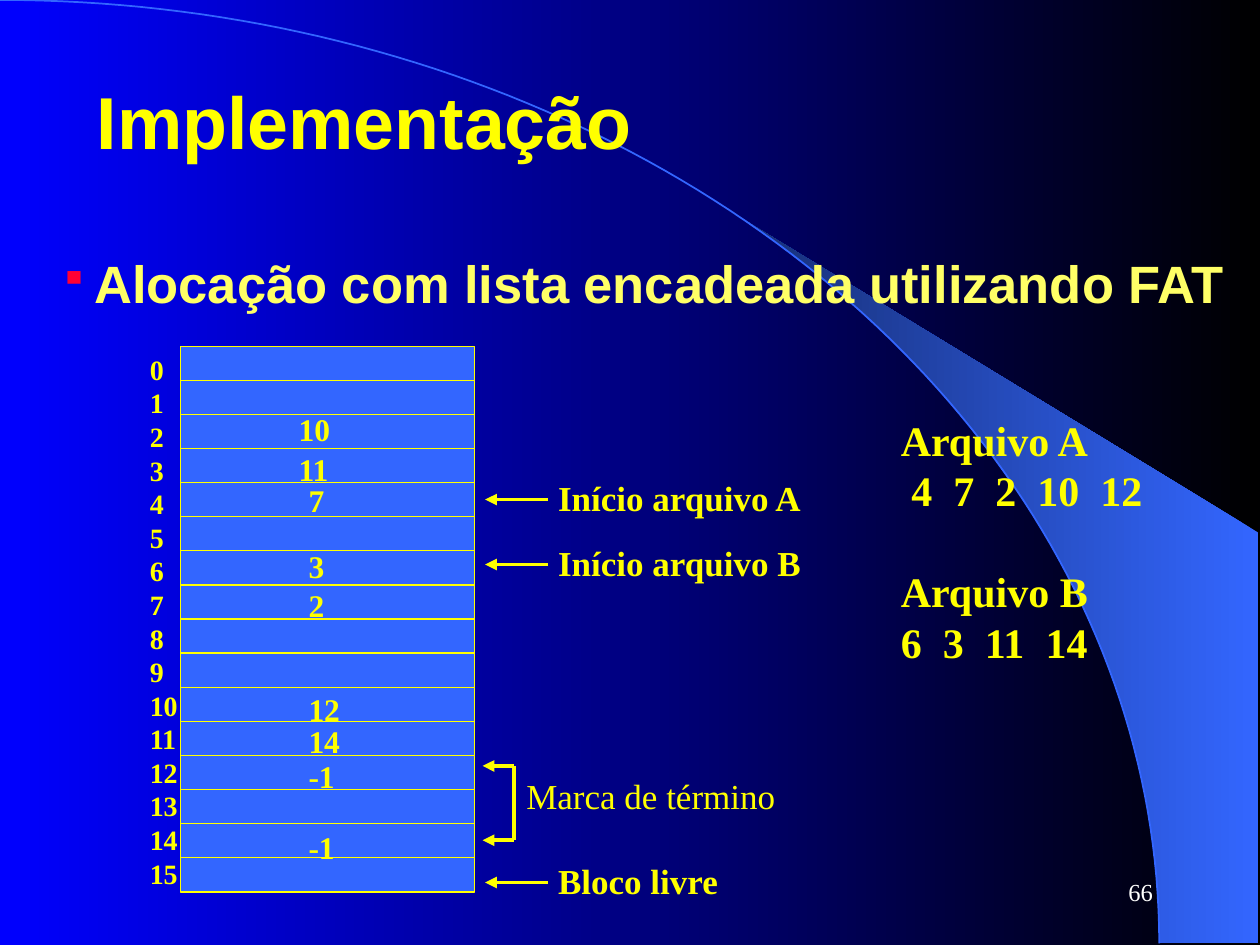
from math import asin, cos, pi, sin

from lxml.etree import SubElement
from pptx import Presentation
from pptx.dml.color import RGBColor
from pptx.enum.shapes import MSO_CONNECTOR, MSO_SHAPE
from pptx.enum.text import MSO_ANCHOR, PP_ALIGN
from pptx.oxml.ns import qn
from pptx.util import Cm, Pt

YELLOW, BLUE = "FFFF00", "3366FF"
SERIF, SANS = "Times New Roman", "Arial"


def color(value):
    return RGBColor.from_string(value)


def set_gradient(fill, start, end):
    """Linear gradient running from the right edge to the left edge."""
    fill.gradient()
    fill.gradient_angle = 180
    for stop, position, value in zip(fill.gradient_stops, (0, 1), (start, end)):
        stop.position = position
        stop.color.rgb = color(value)


def set_font(paragraph, size, name=SERIF, value=YELLOW, bold=True):
    font = paragraph.font
    font.size, font.name, font.bold = Pt(size), name, bold
    font.color.rgb = color(value)


def add_frame(slide, box, wrap=False, anchor=MSO_ANCHOR.TOP):
    frame = slide.shapes.add_textbox(*map(Cm, box)).text_frame
    frame.word_wrap = wrap
    frame.vertical_anchor = anchor
    return frame


def add_text(slide, box, lines, size, wrap=False, anchor=MSO_ANCHOR.TOP, **style):
    frame = add_frame(slide, box, wrap, anchor)
    for index, line in enumerate(lines):
        paragraph = frame.add_paragraph() if index else frame.paragraphs[0]
        paragraph.text = line
        set_font(paragraph, size, **style)
    return frame


def add_line(slide, start, end, arrow=False):
    connector = slide.shapes.add_connector(
        MSO_CONNECTOR.STRAIGHT, *map(Cm, (*start, *end)))
    connector.line.color.rgb = color(YELLOW)
    connector.line.width = Pt(2.25)
    if arrow:
        SubElement(connector.line._get_or_add_ln(), qn("a:tailEnd"), type="triangle")
    SubElement(connector._element.spPr, qn("a:effectLst"))


def add_outline(slide, points, close):
    points = [(Cm(x), Cm(y)) for x, y in points]
    builder = slide.shapes.build_freeform(*points[0])
    builder.add_line_segments(points[1:], close=close)
    shape = builder.convert_to_shape()
    shape.shadow.inherit = False
    return shape


def add_backdrop(slide, width, height):
    """Gradient background, with a quarter ellipse and a wedge against it."""
    set_gradient(slide.background.fill, "000000", "0000FF")
    radius_x, radius_y = 23.37, height

    def arc(start, steps):
        angles = [start + (pi / 2 - start) * step / steps for step in range(steps + 1)]
        return [(radius_x * sin(a), radius_y * (1 - cos(a))) for a in angles]

    wedge_left = 14.96
    corners = [(width, height), (width, 10.74)]
    wedge = add_outline(slide, corners + arc(asin(wedge_left / radius_x), 24), True)
    set_gradient(wedge.fill, BLUE, "172F75")
    wedge.line.fill.background()

    curve = add_outline(slide, arc(0, 90), False)
    curve.fill.background()
    curve.line.color.rgb = color(BLUE)
    curve.line.width = Pt(1)


def add_heading(slide, title_box, topic_box):
    add_text(slide, title_box, ["Implementação"], 42, wrap=True,
             anchor=MSO_ANCHOR.MIDDLE, name=SANS)

    # Topic with a square bullet
    paragraph = add_frame(slide, topic_box).paragraphs[0]
    paragraph.text = "Alocação com lista encadeada utilizando FAT"
    properties = paragraph._p.get_or_add_pPr()
    indent = Cm(0.7)
    properties.set("marL", str(indent))
    properties.set("indent", str(-indent))
    bullet_color = SubElement(properties, qn("a:buClr"))
    SubElement(bullet_color, qn("a:srgbClr"), val="FF0033")
    SubElement(properties, qn("a:buSzPct"), val="75000")
    SubElement(properties, qn("a:buChar"), char="▪")
    set_font(paragraph, 30, SANS, "FFFF66")


def add_fat(slide, left, top, width, height):
    """The allocation table: one row per block, holding the next block."""
    rows = 16
    row_height = height / rows
    for row in range(rows):
        cell = slide.shapes.add_shape(
            MSO_SHAPE.RECTANGLE,
            *map(Cm, (left, top + row * row_height, width, row_height)))
        cell.shadow.inherit = False
        cell.fill.solid()
        cell.fill.fore_color.rgb = color(BLUE)
        cell.line.color.rgb = color(YELLOW)
        cell.line.width = Pt(0.75)

    add_text(slide, (left - 0.87, top, 1.07, 11.1), map(str, range(rows)), 16)

    next_blocks = [("10", 2.13, 1.17), ("11", 2.13, 1.96), ("7", 2.33, 2.6),
                   ("3", 2.33, 3.92), ("2", 2.33, 4.7), ("12", 2.33, 6.81),
                   ("14", 2.33, 7.45), ("-1", 2.33, 8.16), ("-1", 2.33, 9.58)]
    for block, x, y in next_blocks:
        text_width = 0.81 if len(block) == 1 else 1.14
        add_text(slide, (left + x, top + y, text_width, 1.02), [block], 18)


def add_pointer(slide, left, top, width, label):
    """Label with an arrow pointing left to the table."""
    add_text(slide, (left, top, width, 1.12), [label], 20)
    y = top + 0.59
    add_line(slide, (left + 0.05, y), (left - 1.22, y), arrow=True)


def add_end_mark(slide, left, top, width, height):
    """Bracket whose two arrows point at the end marks."""
    add_line(slide, (left, top), (left, top + height))
    for y in (top, top + height):
        add_line(slide, (left, y), (left - 0.63, y), arrow=True)
    add_text(slide, (left, top + 0.05, width, 1.12), ["Marca de término"], 20,
             bold=False)


def add_file_chains(slide, left, top, width, height):
    """Block sequence of each file, with widened spaces between blocks."""
    size = 24
    chains = [("Arquivo A", 6, "4 7 2 10 12"), ("Arquivo B", 0, "6 3 11 14")]
    frame = add_frame(slide, (left, top, width, height), wrap=True)
    for index, (name, indent, blocks) in enumerate(chains):
        title = frame.add_paragraph() if index else frame.paragraphs[0]
        title.text = name
        if index:
            title.space_before = Pt(28.8)
        set_font(title, size)

        sequence = frame.add_paragraph()
        properties = sequence._p.get_or_add_pPr()
        properties.set("marL", str(Pt(indent)))
        properties.set("indent", "0")
        for position, block in enumerate(blocks.split()):
            if position:
                gap = sequence.add_run()
                gap.text = " "
                gap._r.get_or_add_rPr().set("spc", "600")
            sequence.add_run().text = block
        set_font(sequence, size)


def add_page_number(slide, box):
    frame = add_text(slide, box, ["66"], 14, wrap=True, anchor=MSO_ANCHOR.MIDDLE,
                     value="FFFFFF", bold=False)
    frame.paragraphs[0].alignment = PP_ALIGN.RIGHT


def main():
    presentation = Presentation()
    presentation.slide_width, presentation.slide_height = Cm(25.4), Cm(19.05)
    slide = presentation.slides.add_slide(presentation.slide_layouts[6])

    add_backdrop(slide, 25.37, 19.02)
    add_heading(slide, (1.7, 0.84, 22.86, 3.18), (0.95, 4.93, 24.4, 1.52))
    add_fat(slide, 3.64, 6.98, 5.93, 11)
    add_pointer(slide, 11, 17.2, 3.73, "Bloco livre")
    add_pointer(slide, 11, 9.48, 5.46, "Início arquivo A")
    add_pointer(slide, 11, 10.79, 5.41, "Início arquivo B")
    add_file_chains(slide, 17.91, 8.23, 5.8, 5.33)
    add_end_mark(slide, 10.36, 15.44, 5.54, 1.5)
    add_page_number(slide, (18.21, 17.35, 5.28, 1.27))
    presentation.save("out.pptx")


if __name__ == "__main__":
    main()
